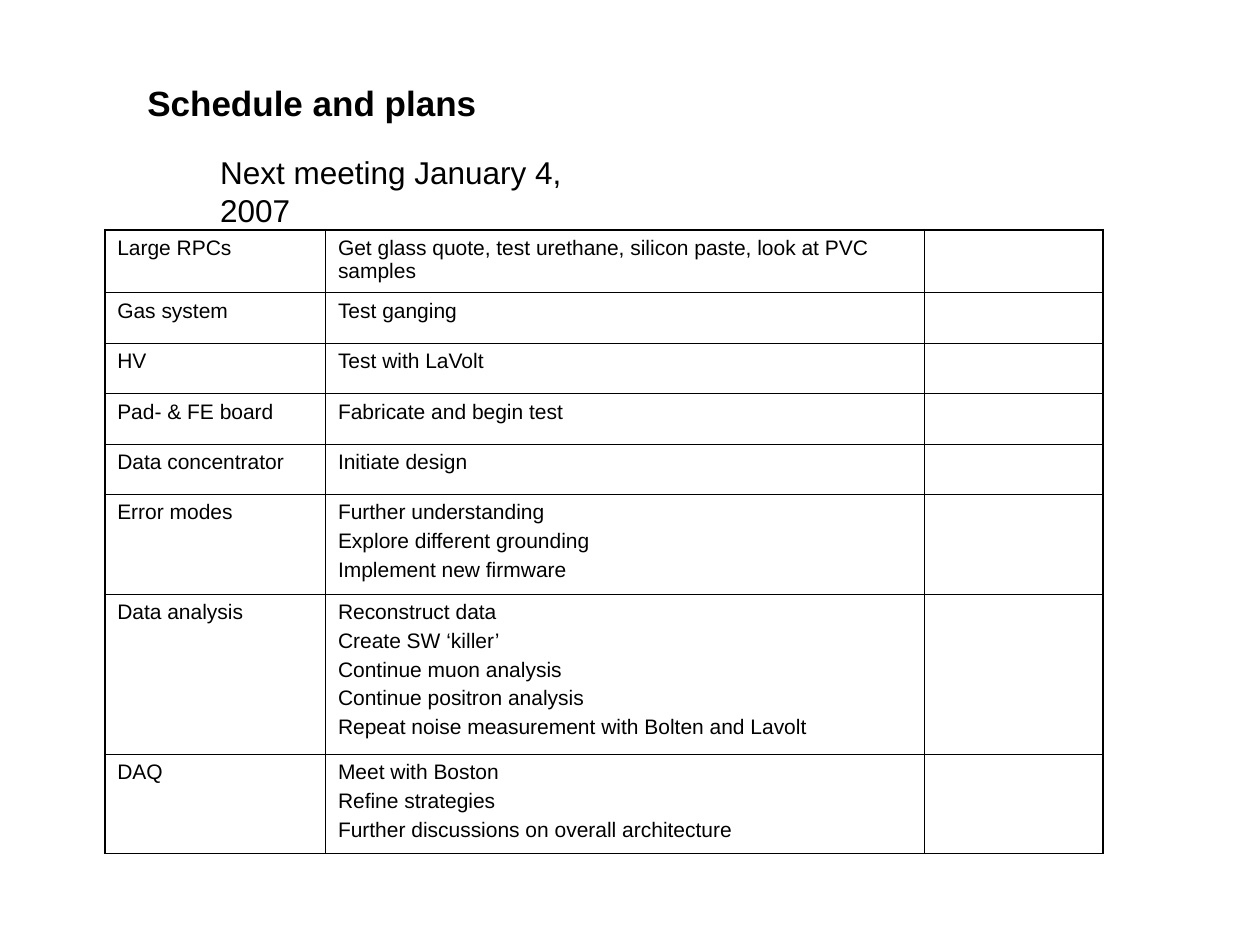
"""Build the schedule and plans slide."""
from typing import NamedTuple

from lxml import etree
from pptx import Presentation, util as u
from pptx.dml.color import RGBColor
from pptx.enum import text
from pptx.oxml.ns import qn

COLOURS = {"ink": "000000", "paper": "FFFFFF"}
FONT = "Arial"
THIN, THICK = u.Pt(0.45), u.Pt(1.08)
COLUMN_WIDTHS = (4.45, 12.07, 3.61)


class Heading(NamedTuple):
    """A single line of text above the table."""
    wording: str
    left: float
    top: float
    width: float
    height: float
    size: int
    bold: bool


class Task(NamedTuple):
    """One table row: a topic and its planned steps."""
    topic: str
    steps: tuple[str, ...]
    height: float


HEADINGS = (
    Heading("Schedule and plans", 2.72, 1.52, 7.14, 1.12, 20, True),
    Heading("Next meeting January 4, 2007", 4.19, 2.97, 8.97, 1.02, 18, False),
)
TASKS = (
    Task("Large RPCs", ("Get glass quote, test urethane, silicon paste, look at PVC samples",), 1.27),
    Task("Gas system", ("Test ganging",), 1.01),
    Task("HV", ("Test with LaVolt",), 1.01),
    Task("Pad- & FE board", ("Fabricate and begin test",), 1.01),
    Task("Data concentrator", ("Initiate design",), 1.01),
    Task("Error modes", ("Further understanding", "Explore different grounding",
                         "Implement new firmware"), 2.01),
    Task("Data analysis", ("Reconstruct data", "Create SW ‘killer’", "Continue muon analysis",
                           "Continue positron analysis",
                           "Repeat noise measurement with Bolten and Lavolt"), 3.23),
    Task("DAQ", ("Meet with Boston", "Refine strategies",
                 "Further discussions on overall architecture"), 2.0),
)


def write_line(paragraph, wording: str, size: int, bold: bool = False) -> None:
    """Add one formatted run to a paragraph."""
    run = paragraph.add_run()
    run.text = wording
    for name, value in {"name": FONT, "size": u.Pt(size), "bold": bold}.items():
        setattr(run.font, name, value)
    run.font.color.rgb = RGBColor.from_string(COLOURS["ink"])


def add_heading(slide, heading: Heading) -> None:
    """Place a heading in an unwrapped text box."""
    place = (heading.left, heading.top, heading.width, heading.height)
    frame = slide.shapes.add_textbox(*map(u.Cm, place)).text_frame
    for name, value in {"word_wrap": False, "auto_size": text.MSO_AUTO_SIZE.SHAPE_TO_FIT_TEXT}.items():
        setattr(frame, name, value)
    write_line(frame.paragraphs[0], heading.wording, heading.size, heading.bold)


def set_borders(cell, widths: dict[str, int]) -> None:
    """Draw the borders of a cell, given in left, right, top, bottom order."""
    properties = cell._tc.get_or_add_tcPr()
    for side, width in widths.items():
        line = etree.SubElement(properties, qn(f"a:ln{side}"), w=str(width))
        fill = etree.SubElement(line, qn("a:solidFill"))
        etree.SubElement(fill, qn("a:srgbClr"), val=COLOURS["ink"])


def fill_cell(cell, lines: tuple[str, ...]) -> None:
    """Write one paragraph per line into a table cell."""
    for index, wording in enumerate(lines):
        if index:
            paragraph = cell.text_frame.add_paragraph()
            paragraph.space_before = u.Pt(3)
        else:
            paragraph = cell.text_frame.paragraphs[0]
        write_line(paragraph, wording, 12)


def add_schedule(slide, tasks: tuple[Task, ...]) -> None:
    """Add the task table with a thicker outer frame."""
    last_row, last_column = len(tasks) - 1, len(COLUMN_WIDTHS) - 1
    table = slide.shapes.add_table(
        len(tasks), len(COLUMN_WIDTHS), u.Cm(2.11), u.Cm(4.63),
        u.Cm(sum(COLUMN_WIDTHS)), u.Cm(sum(task.height for task in tasks))).table
    for name in ("first_row", "horz_banding"):
        setattr(table, name, False)
    for column, width in zip(table.columns, COLUMN_WIDTHS):
        column.width = u.Cm(width)
    for row, task in enumerate(tasks):
        table.rows[row].height = u.Cm(task.height)
        for column, lines in enumerate(((task.topic,), task.steps, ())):
            cell = table.cell(row, column)
            outer = {"L": column == 0, "R": column == last_column,
                     "T": row == 0, "B": row == last_row}
            set_borders(cell, {side: THICK if edge else THIN for side, edge in outer.items()})
            cell.fill.solid()
            cell.fill.fore_color.rgb = RGBColor.from_string(COLOURS["paper"])
            fill_cell(cell, lines)


def main() -> None:
    """Create and save the presentation."""
    presentation = Presentation()
    presentation.slide_width, presentation.slide_height = u.Cm(25.4), u.Cm(19.05)
    slide = presentation.slides.add_slide(presentation.slide_layouts[6])
    for heading in HEADINGS:
        add_heading(slide, heading)
    add_schedule(slide, TASKS)
    presentation.save("out.pptx")


if __name__ == "__main__":
    main()
